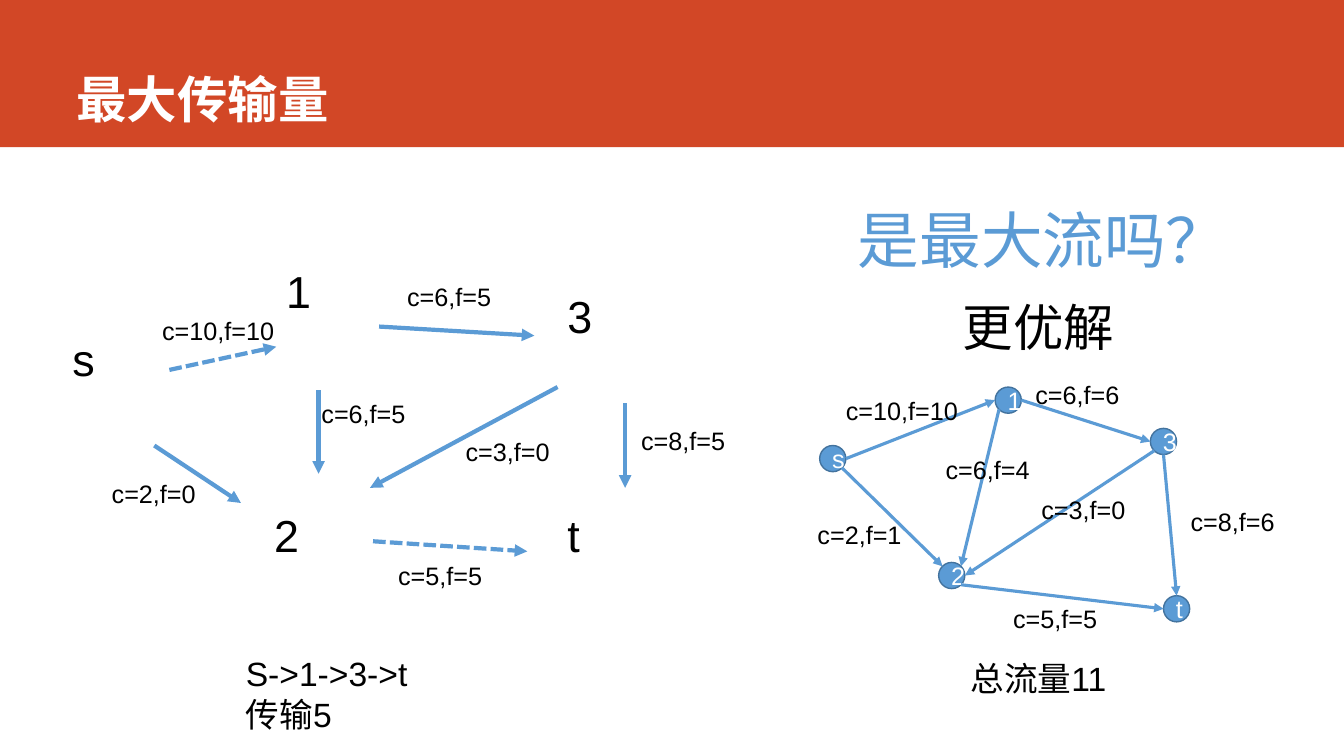
from dataclasses import dataclass

from lxml import etree
from pptx import Presentation
from pptx.dml.color import RGBColor
from pptx.enum.dml import MSO_LINE
from pptx.enum.shapes import MSO_CONNECTOR, MSO_SHAPE
from pptx.enum.text import MSO_ANCHOR, PP_ALIGN
from pptx.oxml.ns import qn
from pptx.util import Inches, Pt

LINE = MSO_CONNECTOR.STRAIGHT
RECT, OVAL = MSO_SHAPE.RECTANGLE, MSO_SHAPE.OVAL
DASH = MSO_LINE.SQUARE_DOT
MIDDLE, BOTTOM = MSO_ANCHOR.MIDDLE, MSO_ANCHOR.BOTTOM
LEFT, CENTER = PP_ALIGN.LEFT, PP_ALIGN.CENTER


@dataclass(frozen=True)
class Theme:
    red: str = "D24726"
    blue: str = "5B9BD5"
    edge: str = "43739E"
    white: str = "FFFFFF"
    black: str = "000000"
    latin: str = "Arial"
    asian: str = "Noto Sans CJK SC"
    huge: int = 44
    head: int = 36
    node: int = 32
    note: int = 24
    label: int = 18


T = Theme()


def write(frame, text, size, color=T.black, align=LEFT, bold=False, font=T.latin):
    """Fill a text frame, one paragraph for each line."""
    form = {"size": Pt(size), "bold": bold, "name": font}
    for i, line in enumerate(text.split("\n")):
        para = frame.paragraphs[0] if i == 0 else frame.add_paragraph()
        para.alignment = align
        run = para.add_run()
        run.text = line
        for key, value in form.items():
            setattr(run.font, key, value)
        run.font.color.rgb = RGBColor.from_string(color)
        east = etree.SubElement(run.font._element, qn("a:ea"))
        east.set("typeface", T.asian)


def add_text(slide, box, text, size, wrap=True, anchor=None, **form):
    frame = slide.shapes.add_textbox(*map(Inches, box)).text_frame
    frame.word_wrap = wrap
    if anchor is not None:
        frame.vertical_anchor = anchor
    write(frame, text, size, **form)


def add_label(slide, x, y, text):
    width = 1.38 if len(text) > 7 else 1.04
    add_text(slide, (x, y, width, 0.4), text, T.label, wrap=False)


def add_solid(slide, kind, box, fill, edge=None):
    shape = slide.shapes.add_shape(kind, *map(Inches, box))
    shape.shadow.inherit = False
    shape.fill.solid()
    shape.fill.fore_color.rgb = RGBColor.from_string(fill)
    if edge:
        shape.line.color.rgb = RGBColor.from_string(edge)
        shape.line.width = Pt(1)
    else:
        shape.line.fill.background()
    return shape


def add_arrow(slide, start, end, width, dash=None):
    arrow = slide.shapes.add_connector(LINE, *map(Inches, (*start, *end)))
    arrow.line.color.rgb = RGBColor.from_string(T.blue)
    arrow.line.width = Pt(width)
    if dash:
        arrow.line.dash_style = dash
    tip = etree.SubElement(arrow.line._get_or_add_ln(), qn("a:tailEnd"))
    tip.set("type", "triangle")
    etree.SubElement(arrow._element.spPr, qn("a:effectLst"))


def add_banner(slide, box):
    """Red band with the slide title at its foot."""
    x, y, w, h = box
    add_solid(slide, RECT, box, T.red)
    add_text(slide, (x + 0.66, y, w - 1.57, h - 0.14), "最大传输量", T.head,
             anchor=BOTTOM, color=T.white, bold=True, font=T.asian)


def add_plan(slide, box):
    """Left network: plain node names, loose arrows, route note."""
    x, y = box[:2]
    nodes = {"s": (0, 0.67), "1": (2.12, 0), "3": (4.91, 0.25),
             "2": (2, 2.42), "t": (4.91, 2.42)}
    for name, (dx, dy) in nodes.items():
        add_text(slide, (x + dx, y + dy, 0.31, 0.64), name, T.node)

    # Start, end, dash, label place and label of each edge
    edges = [
        ((0.91, 1.85), (1.77, 2.42), None, (0.39, 2.13), "c=2,f=0"),
        ((5.58, 1.43), (5.58, 2.27), None, (5.64, 1.6), "c=8,f=5"),
        ((2.54, 1.3), (2.54, 2.13), None, (2.47, 1.33), "c=6,f=5"),
        ((3.14, 0.67), (4.68, 0.76), None, (3.32, 0.17), "c=6,f=5"),
        ((3.08, 2.8), (4.61, 2.9), DASH, (3.23, 2.94), "c=5,f=5"),
        ((1.06, 1.1), (2.12, 0.87), DASH, (0.89, 0.51), "c=10,f=10"),
        ((4.91, 1.27), (3.05, 2.27), None, (3.9, 1.71), "c=3,f=0"),
    ]
    for start, end, dash, spot, text in edges:
        ends = [(x + dx, y + dy) for dx, dy in (start, end)]
        add_arrow(slide, *ends, 3, dash)
        add_label(slide, x + spot[0], y + spot[1], text)
    add_text(slide, (x + 1.72, y + 3.86, 2.26, 0.91),
             "S->1->3->t\n传输5", T.note)


def add_graph(slide, box):
    """Right network: round nodes joined at their rims."""
    x, y = box[:2]
    rad = 0.13
    diag = rad * 0.7
    ports = {"left": (-rad, 0), "right": (rad, 0), "top": (0, -rad),
             "bottom": (0, rad), "nw": (-diag, -diag), "ne": (diag, -diag),
             "sw": (-diag, diag), "se": (diag, diag)}
    nodes = {"s": (0.25, 0.84), "1": (1.99, 0.26), "2": (1.43, 2),
             "t": (3.66, 2.33), "3": (3.53, 0.67)}
    for name, (dx, dy) in nodes.items():
        spot = (x + dx - rad, y + dy - rad, 2 * rad, 2 * rad)
        disc = add_solid(slide, OVAL, spot, T.blue, T.edge)
        disc.text_frame.vertical_anchor = MIDDLE
        write(disc.text_frame, name, T.label, color=T.white, align=CENTER)

    def rim(name, port):
        (dx, dy), (px, py) = nodes[name], ports[port]
        return x + dx + px, y + dy + py

    # Both ends, label place and label of each edge
    edges = [
        (("s", "right"), ("1", "left"), (0.28, 0.16), "c=10,f=10"),
        (("s", "se"), ("2", "nw"), (0, 1.39), "c=2,f=1"),
        (("2", "se"), ("t", "left"), (1.94, 2.23), "c=5,f=5"),
        (("1", "right"), ("3", "left"), (2.16, 0), "c=6,f=6"),
        (("3", "bottom"), ("t", "top"), (3.7, 1.26), "c=8,f=6"),
        (("1", "sw"), ("2", "ne"), (1.27, 0.75), "c=6,f=4"),
        (("3", "sw"), ("2", "right"), (2.22, 1.14), "c=3,f=0"),
    ]
    for start, end, spot, text in edges:
        add_arrow(slide, rim(*start), rim(*end), 2.25)
        add_label(slide, x + spot[0], y + spot[1], text)


def add_answer(slide, box):
    """Question, heading and total around the right network."""
    x, y, w, h = box
    add_text(slide, (x + 0.16, y, 4.61, 0.84), "是最大流吗？", T.huge, color=T.blue)
    add_text(slide, (x, y + 0.94, w, 0.71), "更优解", T.head, align=CENTER)
    add_text(slide, (x, y + h - 0.5, w, 0.5), "总流量11", T.note, align=CENTER)


def main():
    deck = Presentation()
    deck.slide_width, deck.slide_height = Inches(13.33), Inches(7.5)
    slide = deck.slides.add_slide(deck.slide_layouts[6])
    add_banner(slide, (0, 0, 13.33, 1.46))
    add_plan(slide, (0.62, 2.57, 6.68, 4.77))
    add_graph(slide, (8.01, 3.71, 4.74, 2.63))
    add_answer(slide, (8.25, 1.95, 4.1, 5.03))
    deck.save("out.pptx")


if __name__ == "__main__":
    main()
